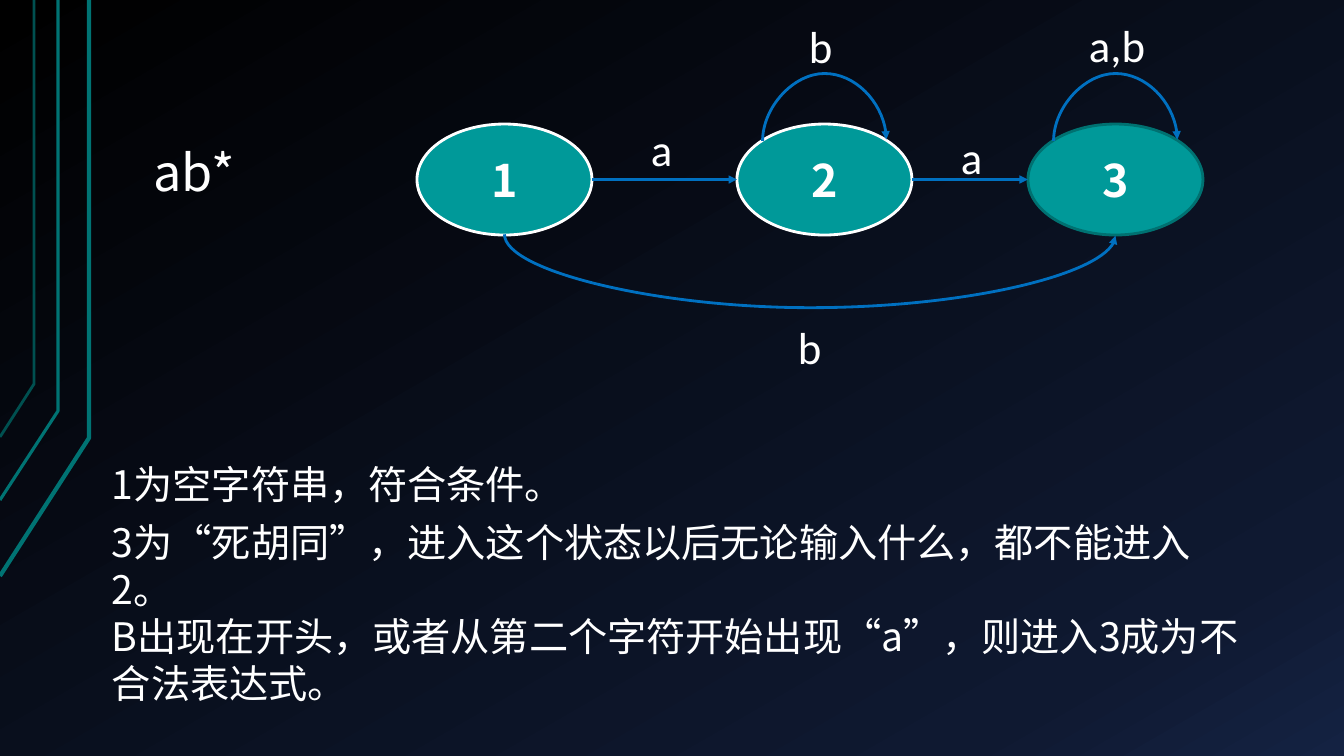
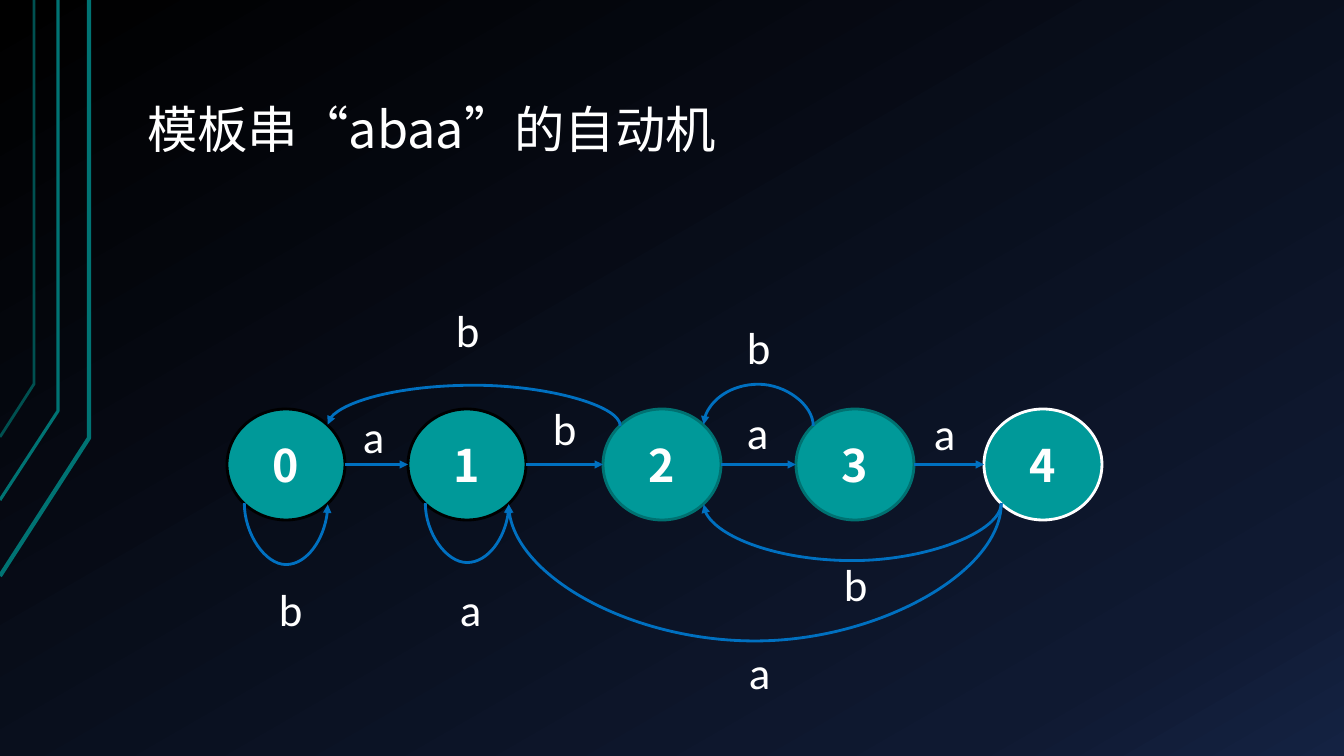
from copy import deepcopy
from math import cos, pi, sin

from lxml import etree
from pptx import Presentation
from pptx.dml.color import RGBColor
from pptx.enum.shapes import MSO_CONNECTOR, MSO_SHAPE
from pptx.enum.text import MSO_ANCHOR, PP_ALIGN
from pptx.oxml.ns import qn
from pptx.util import Pt

PX = 914400 / 100.8
SLIDE_SIZE = 1344, 756
TITLE_ONLY = 5
OVAL = MSO_SHAPE.OVAL
STRAIGHT, CURVE = MSO_CONNECTOR.STRAIGHT, MSO_CONNECTOR.CURVE
MIDDLE, BOTTOM = MSO_ANCHOR.MIDDLE, MSO_ANCHOR.BOTTOM
LEFT, CENTER = PP_ALIGN.LEFT, PP_ALIGN.CENTER

COLORS = {
    "text": "FFFFFF", "state": "009999", "arrow": "0070C0",
    "plain": "007171", "accepting": "FFFFFF", "dark": "000000",
    "frame": "007373", "dim frame": "005050",
}
CJK, LATIN = "Noto Sans CJK SC", "Calibri"
BACKGROUND = [(0, "000000"), (0.85, "0F1931"), (1, "142242")]
BACKGROUND_ANGLE = 300
FRAME_LINES = [  # points, width in points, colour
    ([(0, 576), (89, 438), (89, 0)], 3, "frame"),
    ([(0, 500), (58, 411), (58, 0)], 2.25, "frame"),
    ([(0, 437), (34, 384), (34, 0)], 2, "dim frame"),
]

# Connection sites of an ellipse, counted anticlockwise from the top
TOP_LEFT, WEST, BOTTOM_LEFT, SOUTH, BOTTOM_RIGHT, EAST, TOP_RIGHT = range(1, 8)
ARROW_THICKNESS = 12700

# states: name, left, outline.  steps: straight arrows between states.
# arcs: from state, site, to state, site, height (negative goes up).
# labels: text, left, top.  notes: paragraphs, box, wrapping.
SLIDES = [
    {
        "title": "ab*", "title box": (140, 74, 1142, 135),
        "state size": (175, 111), "state top": 124,
        "states": [("1", 417, "accepting"), ("2", 737, "accepting"),
                   ("3", 1028, "plain")],
        "steps": [("1", "2"), ("2", "3")],
        "arcs": [("1", SOUTH, "3", SOUTH, 74),
                 ("2", TOP_LEFT, "2", TOP_RIGHT, -68),
                 ("3", TOP_LEFT, "3", TOP_RIGHT, -68)],
        "labels": [("a", 641, 117), ("b", 788, 315), ("b", 799, 14),
                   ("a", 951, 125), ("a,b", 1079, 13)],
        "notes": [
            (["1为空字符串，符合条件。"], (102, 455, 476, 57), False),
            (["3为“死胡同”，进入这个状态以后无论输入什么，都不能进入2。",
              "B出现在开头，或者从第二个字符开始出现“a”，则进入3成为不合法表达式。"],
             (102, 513, 1157, 152), True),
        ],
    },
    {
        "title": "模板串“abaa”的自动机", "title box": (134, 69, 1142, 97),
        "state size": (118, 111), "state top": 409,
        "states": [("0", 227, "dark"), ("1", 408, "dark"),
                   ("2", 603, "plain"), ("3", 796, "plain"),
                   ("4", 984, "accepting")],
        "steps": [("0", "1"), ("1", "2"), ("2", "3"), ("3", "4")],
        "arcs": [("0", BOTTOM_LEFT, "0", BOTTOM_RIGHT, 62),
                 ("1", BOTTOM_LEFT, "1", BOTTOM_RIGHT, 60),
                 ("2", TOP_LEFT, "0", TOP_RIGHT, -41),
                 ("3", TOP_LEFT, "2", TOP_RIGHT, -42),
                 ("4", BOTTOM_LEFT, "1", BOTTOM_RIGHT, 139),
                 ("4", BOTTOM_LEFT, "2", BOTTOM_RIGHT, 58)],
        "labels": [("a", 353, 404), ("b", 543, 396), ("a", 737, 400),
                   ("a", 924, 401), ("b", 269, 577), ("a", 450, 577),
                   ("b", 446, 298), ("b", 737, 315), ("b", 834, 552),
                   ("a", 739, 640)],
        "notes": [],
    },
]


def emu(*lengths):
    return [round(length * PX) for length in lengths]


def color(name):
    return RGBColor.from_string(COLORS[name])


def write(shape, paragraphs, size, font, align=LEFT, bold=None):
    frame = shape.text_frame
    frame.text = "\n".join(paragraphs)
    for para in frame.paragraphs:
        para.alignment = align
        for span in para.runs:
            span.font.size, span.font.bold = Pt(size), bold
            span.font.name = font
            span.font.color.rgb = color("text")
            latin = span.font._element.find(qn("a:latin"))
            east_asian = etree.Element(qn("a:ea"), typeface=CJK)
            latin.addnext(east_asian)


def add_text(slide, paragraphs, box, size, font, wrap=True):
    shape = slide.shapes.add_textbox(*emu(*box))
    shape.text_frame.word_wrap = wrap
    write(shape, paragraphs, size, font)


def set_background(master):
    fill = master.background.fill
    fill.gradient()
    fill.gradient_angle = BACKGROUND_ANGLE
    stop_list = master.element.find(".//" + qn("a:gsLst"))
    stop_list.append(deepcopy(stop_list[-1]))
    for stop, (position, value) in zip(fill.gradient_stops, BACKGROUND):
        stop.position = position
        stop.color.rgb = RGBColor.from_string(value)


def add_frame(master, slide):
    """Draw the frame lines on a slide, then move them to the master."""
    for points, width, line_color in FRAME_LINES:
        builder = slide.shapes.build_freeform(*points[0], scale=PX)
        builder.add_line_segments(points[1:], close=False)
        line = builder.convert_to_shape()
        line.shadow.inherit = False
        line.fill.background()
        line.line.color.rgb = color(line_color)
        line.line.width = Pt(width)
        master.shapes._spTree.append(line._element)


def set_title(slide, text, box):
    title = slide.shapes.title
    title.left, title.top, title.width, title.height = emu(*box)
    write(title, [text], 36, CJK)
    frame = title.text_frame
    frame.vertical_anchor = BOTTOM
    frame.margin_left = frame.margin_right = emu(13)[0]
    frame.margin_top = frame.margin_bottom = emu(7)[0]
    frame.paragraphs[0].line_spacing = 0.9


def add_state(slide, name, box, outline):
    state = slide.shapes.add_shape(OVAL, *emu(*box))
    state.shadow.inherit = False
    state.fill.solid()
    state.fill.fore_color.rgb = color("state")
    state.line.color.rgb = color(outline)
    state.line.width = Pt(2)
    write(state, [name], 32, CJK, CENTER, True)
    state.text_frame.vertical_anchor = MIDDLE
    return state


def site_point(state, site):
    angle = site * pi / 4
    x = state.left + state.width / 2 * (1 - sin(angle))
    y = state.top + state.height / 2 * (1 - cos(angle))
    return round(x), round(y)


def finish_arrow(arrow, start, start_site, end, end_site):
    """Style an arrow and tie both ends to sites of their states."""
    arrow.line.color.rgb = color("arrow")
    arrow.line.width = Pt(2)
    properties = arrow._element.spPr
    etree.SubElement(properties.find(qn("a:ln")), qn("a:tailEnd"), type="triangle")
    etree.SubElement(properties, qn("a:effectLst"))
    joints = arrow._element.find(".//" + qn("p:cNvCxnSpPr"))
    for tag, state, site in (("a:stCxn", start, start_site),
                             ("a:endCxn", end, end_site)):
        etree.SubElement(joints, qn(tag), id=str(state.shape_id), idx=str(site))


def add_step(slide, start, end):
    arrow = slide.shapes.add_connector(
        STRAIGHT, *site_point(start, EAST), *site_point(end, WEST))
    finish_arrow(arrow, start, EAST, end, WEST)


def add_arc(slide, start, start_site, end, end_site, height):
    """Add a curved connector turned a quarter so that it bulges up or down."""
    start_x, start_y = site_point(start, start_site)
    end_x, end_y = site_point(end, end_site)
    span = abs(end_x - start_x)
    left = (start_x + end_x - ARROW_THICKNESS) // 2
    top = (start_y + end_y - span) // 2
    arrow = slide.shapes.add_connector(
        CURVE, left, top, left + ARROW_THICKNESS, top + span)
    rightward, down = end_x > start_x, height > 0
    transform = arrow._element.spPr.find(qn("a:xfrm"))
    transform.set("rot", str((270 if rightward == down else 90) * 60000))
    if rightward:
        transform.set("flipH", "1")
    if not down:
        transform.set("flipV", "1")
    bulge = round(abs(height) * PX / ARROW_THICKNESS * 100000)
    adjustments = arrow._element.find(".//" + qn("a:avLst"))
    etree.SubElement(adjustments, qn("a:gd"), name="adj1", fmla=f"val {bulge}")
    finish_arrow(arrow, start, start_site, end, end_site)


def add_automaton(slide, content):
    width, height = content["state size"]
    states = {
        name: add_state(slide, name, (left, content["state top"], width, height), outline)
        for name, left, outline in content["states"]
    }
    for start, end in content["steps"]:
        add_step(slide, states[start], states[end])
    for start, start_site, end, end_site, bulge in content["arcs"]:
        add_arc(slide, states[start], start_site, states[end], end_site, bulge)
    for text, left, top in content["labels"]:
        label_width = 44 if len(text) == 1 else 78
        add_text(slide, [text], (left, top, label_width, 64), 32, LATIN)


def main():
    deck = Presentation()
    deck.slide_width, deck.slide_height = emu(*SLIDE_SIZE)
    master = deck.slide_master
    set_background(master)
    for content in SLIDES:
        slide = deck.slides.add_slide(deck.slide_layouts[TITLE_ONLY])
        set_title(slide, content["title"], content["title box"])
        add_automaton(slide, content)
        for paragraphs, box, wrap in content["notes"]:
            add_text(slide, paragraphs, box, 28, CJK, wrap)
    add_frame(master, deck.slides[0])
    deck.save("out.pptx")


if __name__ == "__main__":
    main()
